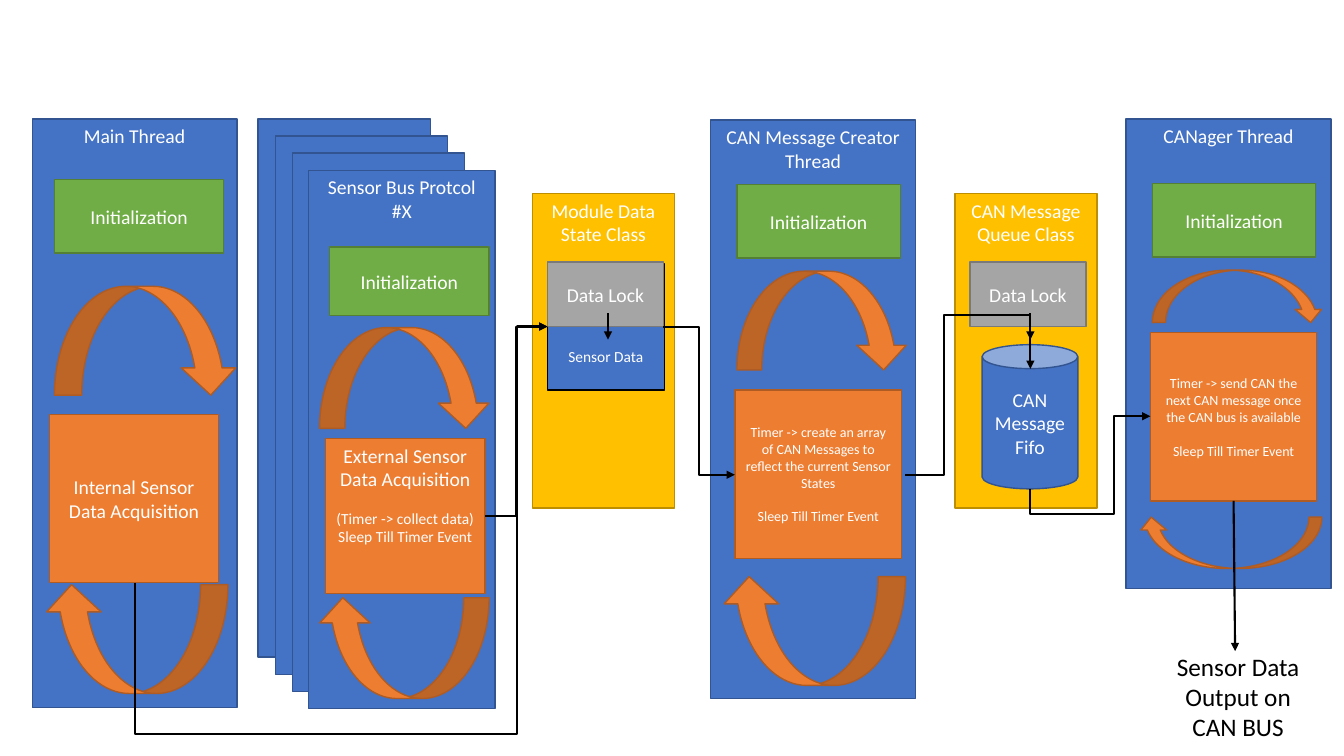
from dataclasses import dataclass
from typing import NamedTuple

from lxml.etree import SubElement
from pptx import Presentation
from pptx.dml.color import RGBColor
from pptx.enum.shapes import MSO_CONNECTOR as Link, MSO_SHAPE as Kind
from pptx.enum.text import MSO_ANCHOR as Anchor, PP_ALIGN as Align
from pptx.oxml.ns import qn
from pptx.util import Pt

PX = 9144  # EMU per px, 100 px to the inch
WHITE = RGBColor(0xFF, 0xFF, 0xFF)
BLACK = RGBColor(0x00, 0x00, 0x00)


class Look(NamedTuple):
    fill: RGBColor
    line: RGBColor


BLUE = Look(RGBColor(0x44, 0x72, 0xC4), RGBColor(0x32, 0x54, 0x91))
GREEN = Look(RGBColor(0x70, 0xAD, 0x47), RGBColor(0x53, 0x80, 0x35))
ORANGE = Look(RGBColor(0xED, 0x7D, 0x31), RGBColor(0xAF, 0x5C, 0x24))
GOLD = Look(RGBColor(0xFF, 0xC0, 0x00), RGBColor(0xBD, 0x8E, 0x00))
GREY = Look(RGBColor(0xA5, 0xA5, 0xA5), RGBColor(0x7A, 0x7A, 0x7A))
DATA = Look(BLUE.fill, BLACK)


class Para(NamedTuple):
    text: str
    size: int = 14
    gap: int = 0


class Area(NamedTuple):
    x: int
    y: int
    w: int
    h: int


@dataclass
class Thread:
    title: str
    body: Area
    init: Area
    down: Area
    up: Area
    task: Area
    paras: tuple[Para, ...]
    anchor: Anchor = Anchor.MIDDLE


@dataclass
class Store:
    title: str
    x: int


@dataclass
class Elbow:
    start: tuple[int, int]
    end: tuple[int, int]
    bends: tuple[float, ...]
    turned: bool = False


SLEEP = Para("Sleep Till Timer Event", 10, 12)

THREADS = [
    Thread("Main Thread", Area(32, 118, 203, 584), Area(54, 178, 168, 73),
           Area(54, 284, 182, 108), Area(44, 580, 182, 108),
           Area(49, 411, 168, 167),
           (Para("Internal Sensor Data Acquisition"),)),
    Thread("Sensor Bus Protcol #X", Area(306, 169, 185, 534),
           Area(327, 245, 158, 68), Area(317, 325, 170, 100),
           Area(315, 593, 170, 100), Area(323, 435, 158, 154),
           (Para("External Sensor Data Acquisition"),
            Para("(Timer -> collect data)", 11, 13),
            Para("Sleep Till Timer Event", 11)), Anchor.TOP),
    Thread("CAN Message Creator Thread", Area(705, 119, 203, 574),
           Area(731, 183, 162, 73), Area(731, 269, 170, 98),
           Area(716, 572, 182, 108), Area(729, 387, 165, 167),
           (Para("Timer -> create an array of CAN Messages to reflect "
                 "the current Sensor States", 10), SLEEP)),
    Thread("CANager Thread", Area(1117, 118, 203, 466),
           Area(1143, 182, 162, 73), Area(1143, 268, 170, 52),
           Area(1129, 513, 182, 51), Area(1141, 330, 165, 167),
           (Para("Timer -> send CAN the next CAN message once "
                 "the CAN bus is available", 10), SLEEP)),
]
STORES = [Store("Module Data State Class", 528),
          Store("CAN Message Queue Class", 947)]
ELBOWS = [
    Elbow((134, 578), (543, 324), (-0.59, 0.926), True),
    Elbow((481, 512), (543, 324), (0.5,)),
    Elbow((658, 324), (729, 471), (0.5,)),
    Elbow((898, 471), (1022, 366), (0.309, 1.513)),
    Elbow((1022, 485), (1141, 413), (-0.349, 0.698), True),
]

deck = Presentation()
deck.slide_width, deck.slide_height = 1333 * PX, 750 * PX
slide = deck.slides.add_slide(deck.slide_layouts[6])
shapes = slide.shapes


def write(frame, *paras: Para, color=WHITE, anchor=Anchor.MIDDLE, foot=5):
    frame.word_wrap = True
    frame.vertical_anchor = anchor
    frame.margin_bottom = foot * PX
    for i, para in enumerate(paras):
        p = frame.add_paragraph() if i else frame.paragraphs[0]
        p.alignment = Align.CENTER
        p.space_before = Pt(para.gap)
        run = p.add_run()
        run.text = para.text
        run.font.name = "Calibri"
        run.font.size = Pt(para.size)
        run.font.color.rgb = color


def draw(area: Area, look: Look, *paras: Para, kind=Kind.RECTANGLE, **style):
    shape = shapes.add_shape(kind, *(n * PX for n in area))
    shape.shadow.inherit = False
    shape.fill.solid()
    shape.fill.fore_color.rgb = look.fill
    shape.line.color.rgb = look.line
    shape.line.width = Pt(1)
    if paras:
        write(shape.text_frame, *paras, **style)
    return shape


def join(kind: Link, start: tuple[float, float], end: tuple[float, float]):
    """Draw a black connector with an arrowhead at its end."""
    link = shapes.add_connector(kind, *(round(n * PX) for n in (*start, *end)))
    link.line.color.rgb = BLACK
    link.line.width = Pt(1.5)
    SubElement(link.line._get_or_add_ln(), qn("a:tailEnd"), type="triangle")
    SubElement(link._element.spPr, qn("a:effectLst"))
    return link


def bend(elbow: Elbow):
    """Draw an elbow; a turned one is laid out flat, then rotated by 90°."""
    start, end = elbow.start, elbow.end
    if elbow.turned:
        mid_x, mid_y = (start[0] + end[0]) / 2, (start[1] + end[1]) / 2
        start, end = ((mid_x + y - mid_y, mid_y - x + mid_x)
                      for x, y in (start, end))
    props = join(Link.ELBOW, start, end)._element.spPr
    if elbow.turned:
        props.find(qn("a:xfrm")).set("rot", str(90 * 60000))
    geom = props.find(qn("a:prstGeom"))
    geom.set("prst", f"bentConnector{len(elbow.bends) + 2}")
    guides = geom.find(qn("a:avLst"))
    for i, part in enumerate(elbow.bends, 1):
        SubElement(guides, qn("a:gd"), name=f"adj{i}",
                   fmla=f"val {round(part * 100000)}")


def build(thread: Thread):
    """Draw a thread and return its task box."""
    draw(thread.body, BLUE, Para(thread.title), anchor=Anchor.TOP)
    draw(thread.init, GREEN, Para("Initialization"))
    draw(thread.up, ORANGE, kind=Kind.CURVED_DOWN_ARROW).rotation = 180
    draw(thread.down, ORANGE, kind=Kind.CURVED_DOWN_ARROW)
    return draw(thread.task, ORANGE, *thread.paras, anchor=thread.anchor)


for i in range(3):
    draw(Area(256 + 17 * i, 118 + 17 * i, 171, 534), BLUE)
tasks = [build(thread) for thread in THREADS]

for store in STORES:
    draw(Area(store.x, 192, 141, 312), GOLD, Para(store.title),
         anchor=Anchor.TOP)
draw(Area(543, 262, 116, 125), DATA, Para("Sensor Data", 11),
     anchor=Anchor.BOTTOM, foot=24)
draw(Area(974, 342, 95, 143), BLUE, Para("CAN Message Fifo"), kind=Kind.CAN)
for store in STORES:
    draw(Area(store.x + 15, 260, 115, 64), GREY, Para("Data Lock"))
    join(Link.STRAIGHT, (store.x + 75, 311), (store.x + 75, 337))

for elbow in ELBOWS:
    bend(elbow)
join(Link.STRAIGHT, (1224, 497), (1225, 646)).begin_connect(tasks[-1], 2)

label = shapes.add_textbox(*(n * PX for n in Area(1146, 641, 164, 101)))
write(label.text_frame, Para("Sensor Data Output on CAN BUS", 18),
      color=BLACK, anchor=Anchor.TOP)

deck.save("out.pptx")
